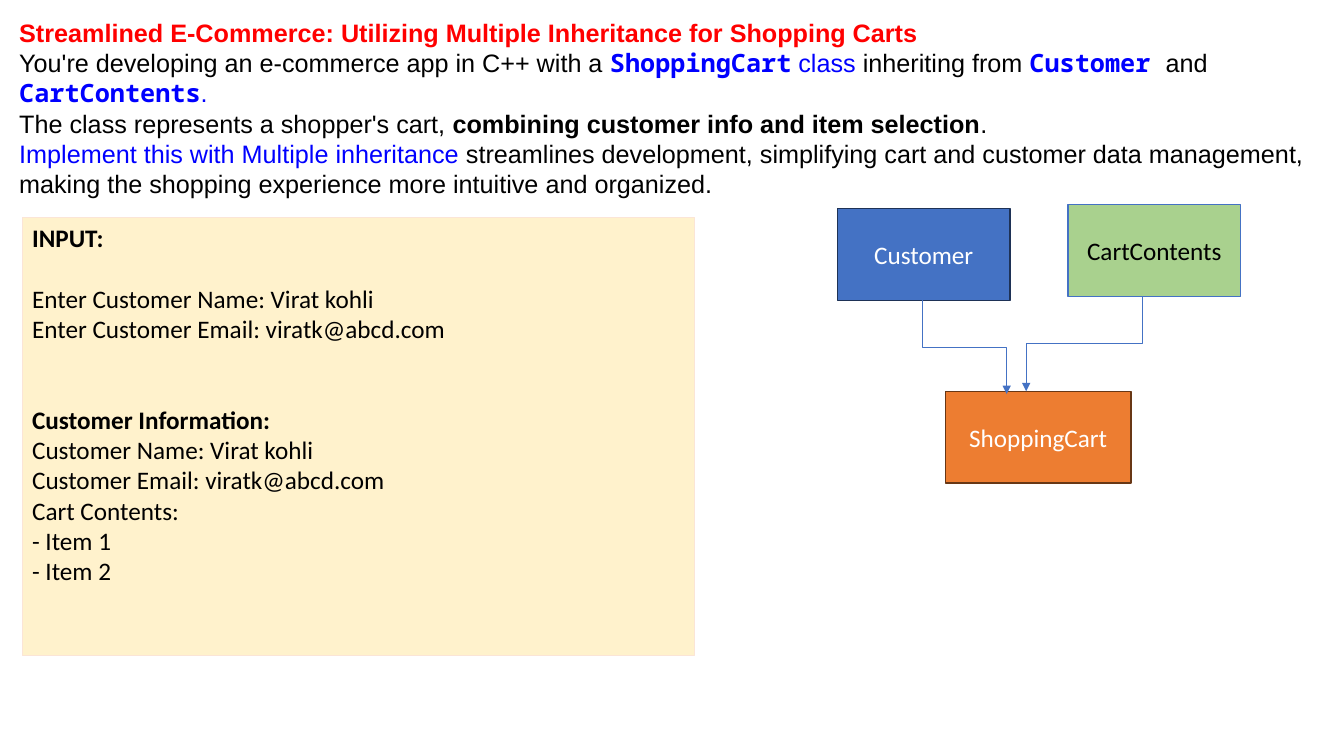
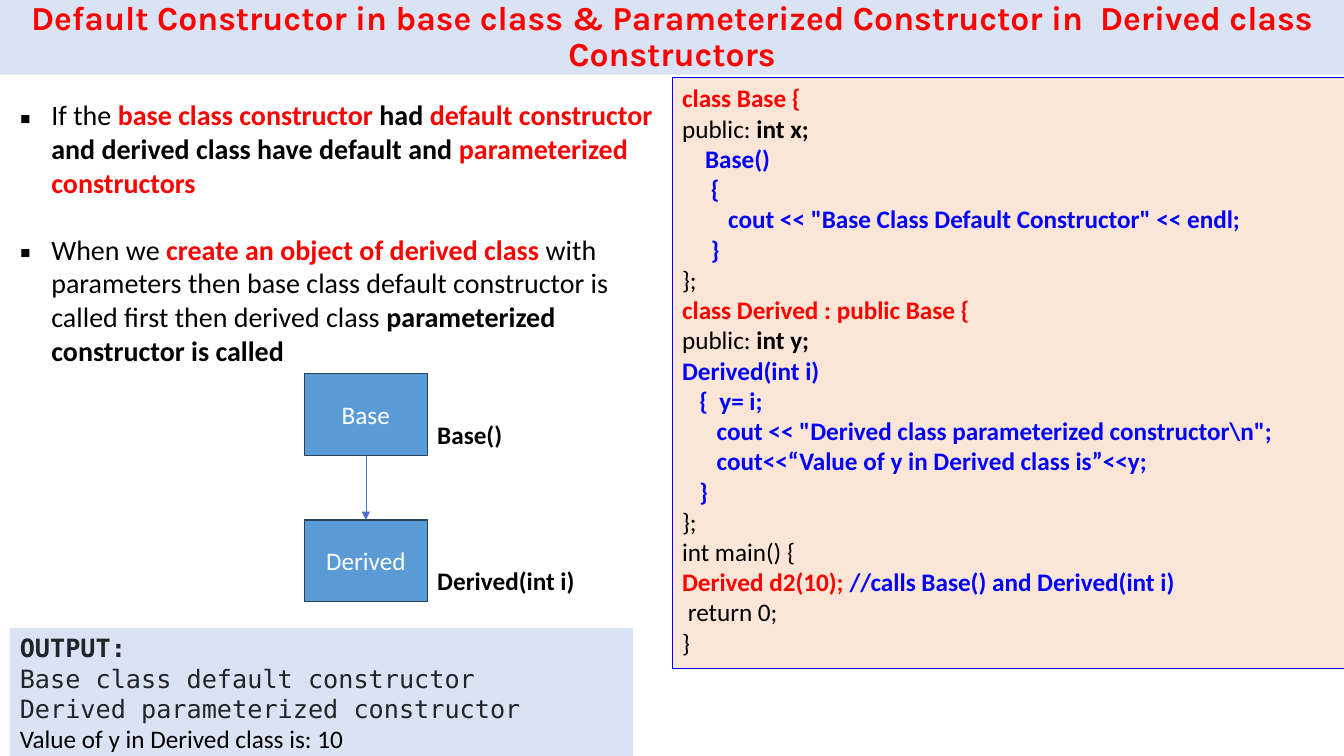
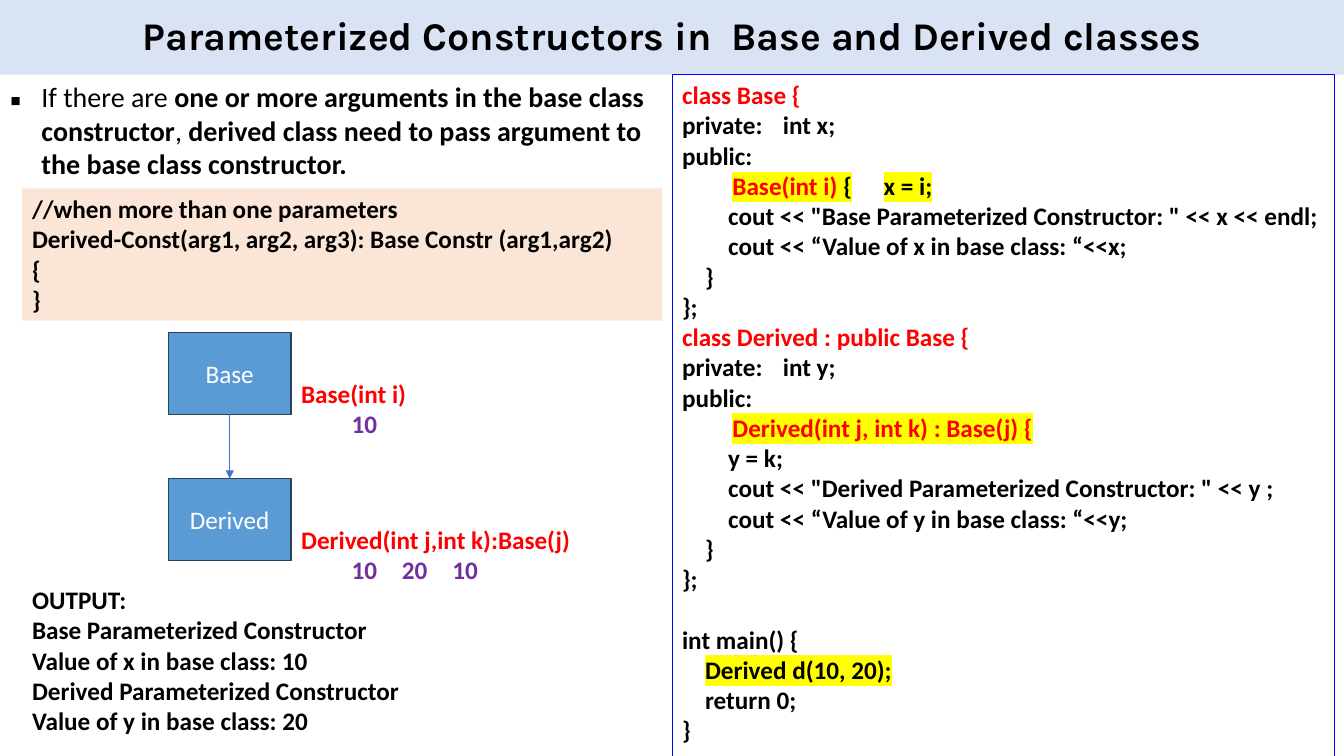
from pptx import Presentation
from pptx.dml.color import RGBColor
from pptx.enum.shapes import MSO_CONNECTOR as Connector, MSO_SHAPE as Preset
from pptx.enum.text import MSO_ANCHOR as Anchor, MSO_AUTO_SIZE as AutoSize, PP_ALIGN as Align
from pptx.oxml.ns import qn
from pptx.util import Cm, Pt
from lxml.etree import SubElement, Element

# Shared look
COLORS = {
    "black": "000000", "white": "FFFFFF", "red": "FF0000", "blue": "0000FF",
    "purple": "7030A0", "ink": "212529", "yellow": "FFFF00", "band": "DAE3F3",
    "cream": "FFF2CC", "peach": "FBE5D6", "royal": "4472C4", "navy": "1E3256",
    "green": "A9D18E", "orange": "ED7D31", "brown": "683715",
    "sky": "5B9BD5", "slate": "28445D",
}
STYLES = {
    "plain": {},
    "bold": {"bold": True},
    "red": {"bold": True, "color": "red"},
    "blue": {"bold": True, "color": "blue"},
    "purple": {"bold": True, "color": "purple"},
    "blue light": {"color": "blue"},
    "identifier": {"bold": True, "color": "blue", "font": "Noto Sans Mono"},
    "console": {"color": "ink", "font": "DejaVu Sans Mono"},
    "console bold": {"bold": True, "color": "ink", "font": "DejaVu Sans Mono"},
    "marked": {"bold": True, "highlight": "yellow"},
    "marked red": {"bold": True, "color": "red", "highlight": "yellow"},
}
WIDTH, HEIGHT = 33.87, 19.05
BAND_HEIGHT = 1.88
SPACE = 0.145          # width of one space in 18 pt code
LINE_RATIO = 1.2       # line height over text size
BULLET_INDENT = 0.79
BOX_WIDTH, BOX_HEIGHT, BOX_PITCH = 3.1, 2.06, 3.68


def line(*runs, indent=0, tabs=(), gap=0):
    """Runs are (text, style); indent is in spaces, tabs in cm, gap in lines."""
    return {"runs": runs, "indent": indent, "tabs": tabs, "gap": gap}


def lines(style, *texts):
    return [line((text, style)) for text in texts]


# Slide 1 content
CART_TITLE = "Streamlined E-Commerce: Utilizing Multiple Inheritance for Shopping Carts"
CART_TASK = [
    line(("You're developing an e-commerce app in C++ with a ", "plain"),
         ("ShoppingCart", "identifier"), (" class ", "blue light"),
         ("inheriting from ", "plain"), ("Customer ", "identifier"), ("and ", "plain"),
         ("CartContents", "identifier"), (".", "blue light")),
    line(("The class represents a shopper's cart, ", "plain"),
         ("combining customer info and item selection", "bold"), (".", "plain")),
    line(("Implement this with Multiple inheritance ", "blue light"),
         ("streamlines development, simplifying cart and customer data management, "
          "making the shopping experience more intuitive and organized.", "plain")),
]
CART_INPUT = [
    line(("INPUT:", "bold")),
    line(("Enter Customer Name: Virat kohli", "plain"), gap=1),
    line(("Enter Customer Email: viratk@abcd.com", "plain")),
    line(("Customer Information:", "bold"), gap=2),
    *lines("plain", "Customer Name: Virat kohli", "Customer Email: viratk@abcd.com",
           "Cart Contents:", "- Item 1", "- Item 2"),
]
CART_CLASSES = [  # name, position and size, fill, outline, text colour
    ("Customer", (21.11, 5.26, 4.34, 2.31), "royal", "navy", "white"),
    ("CartContents", (26.92, 5.16, 4.34, 2.31), "green", "royal", "black"),
    ("ShoppingCart", (23.83, 9.86, 4.67, 2.31), "orange", "brown", "white"),
]
CART_ARROWS = [((28.78, 7.47), (25.86, 9.86)), ((23.24, 7.57), (25.37, 9.93))]

# Slide 2 content
DEFAULT_TITLE = ("Default Constructor in base class & Parameterized Constructor in  "
                 "Derived class Constructors")
DEFAULT_POINTS = [
    line(("If the ", "plain"), ("base class constructor ", "red"), ("had ", "bold"),
         ("default constructor ", "red"), ("and derived class have default and ", "bold"),
         ("parameterized constructors", "red")),
    line(("When we ", "plain"), ("create an object of derived class ", "red"),
         ("with parameters then base class default constructor is called first "
          "then derived class ", "plain"),
         ("parameterized constructor is called", "bold"), gap=1),
]
DEFAULT_CODE = [
    line(("class Base {", "red")),
    line(("public: ", "plain"), ("int x;", "bold")),
    line(("Base()", "blue"), indent=4),
    line(("{", "blue"), indent=5),
    line(('cout << "Base Class Default Constructor" << endl;', "blue"), indent=8),
    line(("}", "blue"), indent=5),
    line(("};", "plain")),
    line(("class Derived : public Base {", "red")),
    line(("public: ", "plain"), ("int y;", "bold")),
    line(("Derived(int i)", "blue")),
    line(("{  y= i;", "blue"), indent=3),
    line(('cout << "Derived class parameterized constructor\\n";', "blue"), indent=6),
    line(("cout<<“Value of y in Derived class is”<<y;", "blue"), indent=6),
    line(("}", "blue"), indent=3),
    *lines("plain", "};", "int main() {"),
    line(("Derived d2(10); ", "red"), ("//calls Base() and Derived(int i)", "blue")),
    line(("return 0;", "plain"), indent=1),
    line(("}", "plain")),
]
DEFAULT_OUTPUT = [
    line(("OUTPUT:", "console bold")),
    *lines("console", "Base class default constructor", "Derived parameterized constructor"),
    line(("Value of y in Derived class is: 10", "plain")),
]
DEFAULT_LABELS = [lines("bold", "Base()"), lines("bold", "Derived(int i)")]

# Slide 3 content
PARAMETER_TITLE = "Parameterized Constructors in  Base and Derived classes"
PARAMETER_POINTS = [
    line(("If there are ", "plain"),
         ("one or more arguments in the base class constructor", "bold"), (", ", "plain"),
         ("derived class need to pass argument to the base class constructor.", "bold")),
]
MEMBER_TAB = 2.75
PARAMETER_CODE = [
    line(("class Base {", "red")),
    line(("private:\tint x;", "bold"), tabs=(MEMBER_TAB,)),
    line(("public:", "bold")),
    line(("\t", "bold"), ("Base(int i) ", "marked red"), ("{\tx = i;", "marked"),
         tabs=(4 * SPACE, 4.86)),
    line(('cout << "Base Parameterized Constructor: " << x << endl;', "bold"), indent=8),
    line(("cout << “Value of x in base class: “<<x;", "bold"), indent=8),
    line(("}", "bold"), indent=4),
    line(("};", "bold")),
    line(("class Derived : public Base {", "red")),
    line(("private:\tint y;", "bold"), tabs=(MEMBER_TAB,)),
    line(("public:", "bold")),
    line(("\tDerived(int j, int k) : Base(j) {", "marked red"), tabs=(4 * SPACE,)),
    line(("y = k;", "bold"), indent=8),
    line(('cout << "Derived Parameterized Constructor: " << y ;', "bold"), indent=8),
    line(("cout << “Value of y in base class: “<<y;", "bold"), indent=8),
    line(("}", "bold"), indent=4),
    line(("};", "bold")),
    line(("int main() {", "bold"), gap=1),
    line(("Derived d(10, 20);", "marked"), indent=4),
    line(("return 0;", "bold"), indent=4),
    line(("}", "bold")),
]
PARAMETER_SYNTAX = lines(
    "bold", "//when more than one parameters",
    "Derived-Const(arg1, arg2, arg3): Base Constr (arg1,arg2)", "{", "}")
PARAMETER_OUTPUT = lines(
    "bold", "OUTPUT:", "Base Parameterized Constructor", "Value of x in base class: 10",
    "Derived Parameterized Constructor", "Value of y in base class: 20")
PARAMETER_LABELS = [
    [line(("Base(int i)", "red")), line(("\t10", "purple"), tabs=(2.17,))],
    [line(("Derived(int j,int k):Base(j)", "red")),
     line(("\t10\t20\t10", "purple"), tabs=(2.87, 4.08, 5.87))],
]


# Text
def rgb(name):
    return RGBColor.from_string(COLORS[name])


def set_layout(paragraph, entry, size, bullet):
    properties = paragraph._p.get_or_add_pPr()
    left = BULLET_INDENT if bullet else entry["indent"] * SPACE
    properties.set("marL", str(Cm(left)))
    properties.set("indent", str(Cm(-BULLET_INDENT if bullet else 0)))
    if bullet:
        SubElement(properties, qn("a:buFont"), typeface="Noto Sans Symbols")
        SubElement(properties, qn("a:buChar"), char="▪")
    else:
        SubElement(properties, qn("a:buNone"))
    if entry["tabs"]:
        stops = SubElement(properties, qn("a:tabLst"))
        for stop in entry["tabs"]:
            SubElement(stops, qn("a:tab"), pos=str(Cm(stop)), algn="l")
    paragraph.space_before = Pt(entry["gap"] * size * LINE_RATIO)


def add_run(paragraph, text, style):
    run = paragraph.add_run()
    run.text = text
    if "bold" in style:
        run.font.bold = style["bold"]
    if "color" in style:
        run.font.color.rgb = rgb(style["color"])
    if "font" in style:
        run.font.name = style["font"]
    if "highlight" in style:
        run.font.color.rgb = rgb(style.get("color", "black"))
        highlight = Element(qn("a:highlight"))
        SubElement(highlight, qn("a:srgbClr"), val=COLORS[style["highlight"]])
        run._r.rPr.find(qn("a:solidFill")).addnext(highlight)


def write(shape, entries, size=18, font="Calibri", color="black", bullet=False,
          align=Align.LEFT, anchor=Anchor.TOP, wrap=True):
    frame = shape.text_frame
    frame.auto_size = AutoSize.NONE
    frame.word_wrap = wrap
    frame.vertical_anchor = anchor
    for index, entry in enumerate(entries):
        paragraph = frame.add_paragraph() if index else frame.paragraphs[0]
        set_layout(paragraph, entry, size, bullet)
        paragraph.alignment = align
        paragraph.font.size = Pt(size)
        paragraph.font.name = font
        paragraph.font.bold = False
        paragraph.font.color.rgb = rgb(color)
        for text, style in entry["runs"]:
            add_run(paragraph, text, STYLES[style])


# Shapes
def place(shape, area):
    shape.left, shape.top, shape.width, shape.height = map(Cm, area)


def add_panel(slide, area, fill=None, outline=None, weight=0.75):
    panel = slide.shapes.add_shape(Preset.RECTANGLE, *map(Cm, area))
    panel.shadow.inherit = False
    if fill:
        panel.fill.solid()
        panel.fill.fore_color.rgb = rgb(fill)
    else:
        panel.fill.background()
    if outline:
        panel.line.color.rgb = rgb(outline)
        panel.line.width = Pt(weight)
    else:
        panel.line.fill.background()
    return panel


def add_text_panel(slide, area, entries, fill=None, outline=None):
    write(add_panel(slide, area, fill, outline), entries)


def add_class_box(slide, name, area, fill, outline, color):
    box = add_panel(slide, area, fill, outline, weight=1)
    write(box, lines("plain", name), color=color, align=Align.CENTER, anchor=Anchor.MIDDLE)


def add_arrow(slide, start, end):
    """Straight when vertical, otherwise down, across and down again."""
    (x1, y1), (x2, y2) = start, end
    if x1 == x2:
        arrow = slide.shapes.add_connector(Connector.STRAIGHT, *map(Cm, (x1, y1, x2, y2)))
    else:
        half_long, half_wide = (y2 - y1) / 2, abs(x2 - x1) / 2
        x, y = (x1 + x2) / 2, (y1 + y2) / 2
        corners = (x - half_long, y - half_wide, x + half_long, y + half_wide)
        arrow = slide.shapes.add_connector(Connector.ELBOW, *map(Cm, corners))
        transform = arrow._element.spPr.find(qn("a:xfrm"))
        transform.set("rot", str((90 if x2 < x1 else 270) * 60000))
        if x2 > x1:
            transform.set("flipH", "1")
    arrow.line.color.rgb = rgb("royal")
    arrow.line.width = Pt(0.5)
    SubElement(arrow.line._get_or_add_ln(), qn("a:tailEnd"), type="triangle")
    SubElement(arrow._element.spPr, qn("a:effectLst"))


def add_class_pair(slide, left, top, labels):
    for index, (name, label) in enumerate(zip(("Base", "Derived"), labels)):
        box_top = top + index * BOX_PITCH
        add_class_box(slide, name, (left, box_top, BOX_WIDTH, BOX_HEIGHT),
                      "sky", "slate", "white")
        label_area = (left + BOX_WIDTH, box_top + 1.02, 7.4, 1.8)
        write(slide.shapes.add_textbox(*map(Cm, label_area)), label)
    middle = left + BOX_WIDTH / 2
    add_arrow(slide, (middle, top + BOX_HEIGHT), (middle, top + BOX_PITCH))


def add_slide(presentation):
    slide = presentation.slides.add_slide(presentation.slide_layouts[1])
    return slide, slide.shapes.title, slide.placeholders[1]


def add_banded_slide(presentation, heading, size, color, points, points_area):
    slide, title, body = add_slide(presentation)
    place(title, (0, 0, WIDTH, BAND_HEIGHT))
    title.fill.solid()
    title.fill.fore_color.rgb = rgb("band")
    write(title, lines("bold", heading), size, "Karla", color,
          align=Align.CENTER, anchor=Anchor.MIDDLE)
    title.text_frame.paragraphs[0].line_spacing = 0.9
    place(body, points_area)
    write(body, points, size=20, bullet=True)
    return slide


# Slides
def build_cart(presentation):
    slide, title, body = add_slide(presentation)
    place(title, (0.23, 0.3, 33.63, 1.02))
    write(title, lines("bold", CART_TITLE), font="Arial", color="red")
    place(body, (0.23, 1.07, 33.63, 4.1))
    write(body, CART_TASK, font="Arial")
    add_text_panel(slide, (0.56, 5.49, 16.94, 11.02), CART_INPUT, "cream", "peach")
    for class_box in CART_CLASSES:
        add_class_box(slide, *class_box)
    for start, end in CART_ARROWS:
        add_arrow(slide, start, end)


def build_default(presentation):
    slide = add_banded_slide(presentation, DEFAULT_TITLE, 24, "red",
                             DEFAULT_POINTS, (0.25, 2.34, 16.99, 7.09))
    add_text_panel(slide, (16.94, 1.96, 16.94, 14.88), DEFAULT_CODE, "peach", "blue")
    add_text_panel(slide, (0.25, 15.82, 15.7, 3.33), DEFAULT_OUTPUT, "band")
    add_class_pair(slide, 7.67, 9.42, DEFAULT_LABELS)


def build_parameter(presentation):
    slide = add_banded_slide(presentation, PARAMETER_TITLE, 28, "black",
                             PARAMETER_POINTS, (0, 1.88, 16.99, 2.82))
    add_text_panel(slide, (16.94, 1.88, 16.69, 17.2), PARAMETER_CODE, outline="blue")
    add_text_panel(slide, (0.56, 4.75, 16.13, 3.33), PARAMETER_SYNTAX, "peach")
    add_text_panel(slide, (0.56, 14.6, 16.13, 4.11), PARAMETER_OUTPUT)
    add_class_pair(slide, 4.24, 8.38, PARAMETER_LABELS)


def main():
    presentation = Presentation()
    presentation.slide_width, presentation.slide_height = Cm(WIDTH), Cm(HEIGHT)
    for build in (build_cart, build_default, build_parameter):
        build(presentation)
    presentation.save("out.pptx")


if __name__ == "__main__":
    main()
